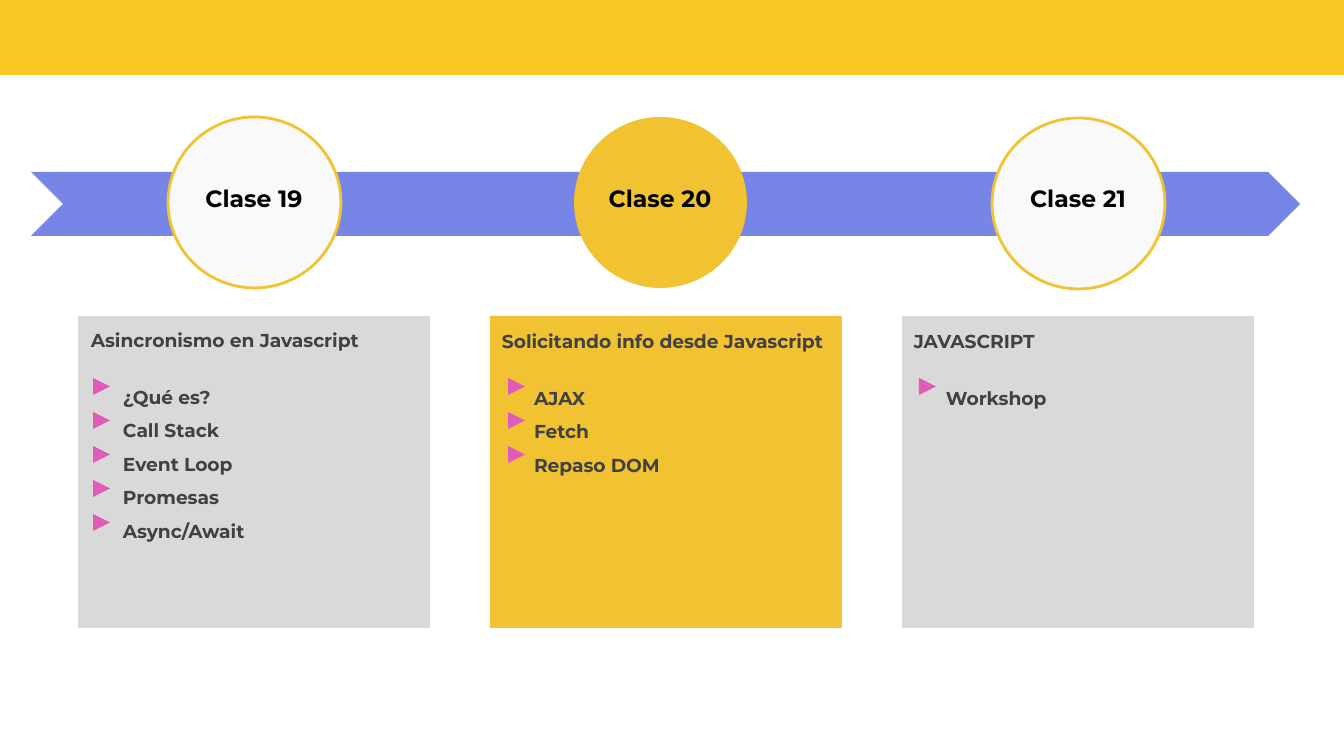
from dataclasses import dataclass

from pptx import Presentation
from pptx.dml.color import RGBColor
from pptx.enum.shapes import MSO_SHAPE as SHAPE
from pptx.enum.text import MSO_ANCHOR as ANCHOR, PP_ALIGN as ALIGN
from pptx.util import Emu, Pt

SCALE = 9144000 / 1344


@dataclass(frozen=True)
class Theme:
    """Colours and type sizes of the slide."""
    font: str = "Montserrat"
    band: str = "F8C823"
    arrow: str = "7685E6"
    gold: str = "F1C232"
    pale: str = "F9F9F9"
    grey: str = "D9D9D9"
    pink: str = "E15BBA"
    black: str = "000000"
    ink: str = "414141"
    label_size: float = 12.6
    body_size: float = 10
    outline: float = 1.5
    topic_gap: float = 12.2
    topic_spacing: float = 1.5


@dataclass(frozen=True)
class Lesson:
    """One class of the course with its places on the timeline."""
    name: str
    heading: str
    topics: tuple
    circle: tuple
    text: tuple
    marker_x: int
    current: bool = False


THEME = Theme()
CARD_X, CARD_Y, CARD_STEP = 78, 316, 412
CARD_W, CARD_H = 352, 312
CIRCLE_W, CIRCLE_H = 173, 171
LABEL_Y, LABEL_W, LABEL_H = 171, 160, 44
MARKER_Y, MARKER_STEP, MARKER_SIZE = 378, 34, 17
INSET, TOPIC_INDENT = 13, 32

LESSONS = (
    Lesson("Clase 19", "Asincronismo en Javascript",
           ("¿Qué es?", "Call Stack", "Event Loop", "Promesas", "Async/Await"),
           (168, 117), (78, 316), 93),
    Lesson("Clase 20", "Solicitando info desde Javascript",
           ("AJAX", "Fetch", "Repaso DOM"), (574, 117), (489, 317), 508, True),
    Lesson("Clase 21", "JAVASCRIPT", ("Workshop",), (992, 118), (901, 317), 919),
)


def px(n):
    """Turn slide pixels into EMU."""
    return Emu(round(n * SCALE))


def add_block(s, kind, x, y, w, h, fill, line=None):
    """Add a flat preset shape with an optional outline."""
    sp = s.shapes.add_shape(kind, px(x), px(y), px(w), px(h))
    sp.shadow.inherit = False
    sp.fill.solid()
    sp.fill.fore_color.rgb = RGBColor.from_string(fill)
    if line:
        sp.line.color.rgb = RGBColor.from_string(line)
        sp.line.width = Pt(THEME.outline)
    else:
        sp.line.fill.background()
    return sp


def add_text(s, x, y, w, h, lines, size, color):
    """Add a wrapped bold text box and return its paragraphs."""
    tf = s.shapes.add_textbox(px(x), px(y), px(w), px(h)).text_frame
    tf.word_wrap = True
    tf.vertical_anchor = ANCHOR.TOP
    tf.margin_left = tf.margin_right = tf.margin_top = tf.margin_bottom = px(INSET)
    tf.text = "\n".join(lines)
    for p in tf.paragraphs:
        for r in p.runs:
            r.font.name = THEME.font
            r.font.size = Pt(size)
            r.font.bold = True
            r.font.color.rgb = RGBColor.from_string(color)
    return tf.paragraphs


def add_circle(s, lesson):
    """Add a timeline stop with its class name."""
    x, y = lesson.circle
    fill, line = (THEME.gold, None) if lesson.current else (THEME.pale, THEME.gold)
    add_block(s, SHAPE.OVAL, x, y, CIRCLE_W, CIRCLE_H, fill, line)
    label_x = x + (CIRCLE_W - LABEL_W) // 2
    p = add_text(s, label_x, LABEL_Y, LABEL_W, LABEL_H, [lesson.name],
                 THEME.label_size, THEME.black)[0]
    p.alignment = ALIGN.CENTER


def add_card(s, x, lesson):
    """Add a panel with heading, topics and their markers."""
    fill = THEME.gold if lesson.current else THEME.grey
    add_block(s, SHAPE.RECTANGLE, x, CARD_Y, CARD_W, CARD_H, fill)
    topics = add_text(s, *lesson.text, CARD_W, CARD_H,
                      [lesson.heading, *lesson.topics],
                      THEME.body_size, THEME.ink)[1:]
    for i, p in enumerate(topics):
        p.line_spacing = THEME.topic_spacing
        p.space_before = Pt(0 if i else THEME.topic_gap)
        p._p.get_or_add_pPr().set("marL", str(px(TOPIC_INDENT)))
        marker = add_block(s, SHAPE.ISOSCELES_TRIANGLE, lesson.marker_x,
                           MARKER_Y + i * MARKER_STEP, MARKER_SIZE, MARKER_SIZE,
                           THEME.pink)
        marker.rotation = 90


def main():
    """Build the class timeline slide."""
    prs = Presentation()
    prs.slide_width, prs.slide_height = px(1344), px(756)
    s = prs.slides.add_slide(prs.slide_layouts[6])
    add_block(s, SHAPE.RECTANGLE, -1, -7, 1348, 82, THEME.band)
    add_block(s, SHAPE.CHEVRON, 31, 172, 1269, 64, THEME.arrow)
    for i, lesson in enumerate(LESSONS):
        add_circle(s, lesson)
        add_card(s, CARD_X + i * CARD_STEP, lesson)
    prs.save("out.pptx")


if __name__ == "__main__":
    main()
